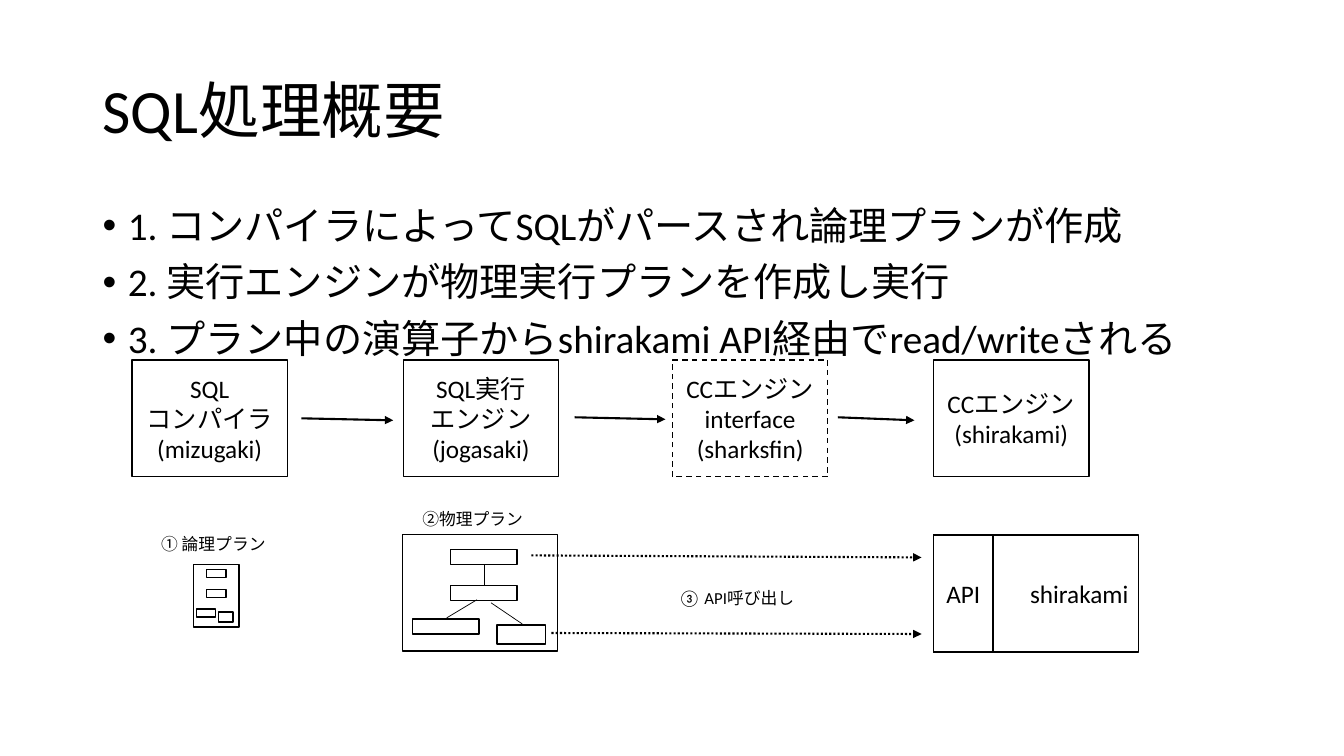
from lxml.etree import SubElement
from pptx import Presentation
from pptx.dml.color import RGBColor
from pptx.enum.dml import MSO_LINE
from pptx.enum.shapes import MSO_CONNECTOR, MSO_SHAPE
from pptx.enum.text import MSO_ANCHOR, PP_ALIGN
from pptx.oxml.ns import qn
from pptx.util import Inches, Pt

# Content
BLACK, WHITE, FONT = "000000", "FFFFFF", "Calibri"
TITLE = "SQL処理概要"
STEPS = [
    "1. コンパイラによってSQLがパースされ論理プランが作成",
    "2. 実行エンジンが物理実行プランを作成し実行",
    "3. プラン中の演算子からshirakami API経由でread/writeされる",
]
BOX_W, BOX_H, ENGINE_Y, PLAN_Y = 1.54, 1.16, 3.57, 5.31
ENGINES = [  # left, label, dash
    (1.31, "SQL\nコンパイラ\n(mizugaki)", None),
    (4, "SQL実行\nエンジン\n(jogasaki)", None),
    (6.67, "CCエンジン\ninterface\n(sharksfin)", MSO_LINE.DASH),
    (9.26, "CCエンジン\n(shirakami)", None),
]
ENGINE_ARROWS = [(2.99, 4.15, 3.9, 4.17), (5.7, 4.14, 6.6, 4.16),
                 (8.31, 4.14, 9.07, 4.17)]
LOGICAL_PLAN = [  # frame, then operators
    (1.92, 5.6, 0.45, 0.62),
    (2.05, 5.65, 0.19, 0.08), (2.05, 5.85, 0.19, 0.08),
    (1.95, 6.04, 0.19, 0.08), (2.17, 6.07, 0.14, 0.1),
]
PHYSICAL_PLAN = [
    (3.99, 5.3, BOX_W, BOX_H),
    (4.47, 5.45, 0.66, 0.15), (4.47, 5.81, 0.66, 0.15),
    (4.09, 6.14, 0.66, 0.15), (4.93, 6.2, 0.48, 0.19),
]
PLAN_EDGES = [(4.8, 5.6, 4.8, 5.81), (4.73, 5.95, 4.43, 6.13),
              (4.87, 5.98, 5.18, 6.19)]
API_CALLS = [(5.27, 5.51, 9.14, 5.53), (5.47, 6.28, 9.14, 6.29)]
STORE = [  # width, label, alignment
    (2.03, "shirakami", PP_ALIGN.RIGHT),
    (0.59, "API", PP_ALIGN.CENTER),
]
CAPTIONS = [  # left, top, width, text
    (1.5, 5.25, 1.35, "① 論理プラン"),
    (6.63, 5.78, 3, "③ API呼び出し"),
    (4.09, 5, 1.35, "②物理プラン"),
]

prs = Presentation()
prs.slide_width, prs.slide_height = Inches(13.33), Inches(7.5)
s = prs.slides.add_slide(prs.slide_layouts[6])


def color(value):
    return RGBColor.from_string(value)


def write(p, text, size):
    for i, line in enumerate(text.split("\n")):
        if i:
            p.add_line_break()
        r = p.add_run()
        r.text = line
        r.font.size, r.font.name = Pt(size), FONT
        r.font.color.rgb = color(BLACK)


def text_box(x, y, w, h, anchor=MSO_ANCHOR.TOP):
    tf = s.shapes.add_textbox(*map(Inches, (x, y, w, h))).text_frame
    tf.word_wrap, tf.vertical_anchor = True, anchor
    return tf


def box(x, y, w, h, text="", align=PP_ALIGN.CENTER, dash=None):
    sp = s.shapes.add_shape(MSO_SHAPE.RECTANGLE, *map(Inches, (x, y, w, h)))
    sp.shadow.inherit = False
    sp.fill.solid()
    sp.fill.fore_color.rgb = color(WHITE)
    sp.line.color.rgb, sp.line.width = color(BLACK), Pt(1)
    if dash:
        sp.line.dash_style = dash
    if text:
        tf = sp.text_frame
        tf.word_wrap, tf.vertical_anchor = True, MSO_ANCHOR.MIDDLE
        tf.paragraphs[0].alignment = align
        write(tf.paragraphs[0], text, 18)


def line(ends, width, dash=None, arrow=False):
    c = s.shapes.add_connector(MSO_CONNECTOR.STRAIGHT, *map(Inches, ends))
    c.line.color.rgb, c.line.width = color(BLACK), Pt(width)
    if dash:
        c.line.dash_style = dash
    if arrow:
        SubElement(c.line._get_or_add_ln(), qn("a:tailEnd"), type="triangle")
    SubElement(c._element.spPr, qn("a:effectLst"))


# Title
p = text_box(0.92, 0.4, 11.5, 1.45, MSO_ANCHOR.MIDDLE).paragraphs[0]
p.line_spacing = 0.9
write(p, TITLE, 44)

# Bulleted steps
tf = text_box(0.92, 2, 11.5, 4.76)
for i, step in enumerate(STEPS):
    p = tf.add_paragraph() if i else tf.paragraphs[0]
    pPr = p._p.get_or_add_pPr()
    pPr.set("marL", str(Inches(0.25)))
    pPr.set("indent", str(-Inches(0.25)))
    SubElement(pPr, qn("a:buFont"), typeface="Arial")
    SubElement(pPr, qn("a:buChar"), char="•")
    p.line_spacing, p.space_before = 0.9, Pt(10 if i else 0)
    write(p, step, 28)

# Engine row
for x, label, dash in ENGINES:
    box(x, ENGINE_Y, BOX_W, BOX_H, label, dash=dash)
for ends in ENGINE_ARROWS:
    line(ends, 1.5, arrow=True)

# Plans and storage API
for rect in LOGICAL_PLAN + PHYSICAL_PLAN:
    box(*rect)
for ends in PLAN_EDGES:
    line(ends, 0.5)
for w, label, align in STORE:
    box(ENGINES[-1][0], PLAN_Y, w, BOX_H, label, align)
for ends in API_CALLS:
    line(ends, 1.5, MSO_LINE.ROUND_DOT, arrow=True)

# Captions
for x, y, w, text in CAPTIONS:
    write(text_box(x, y, w, 0.3).paragraphs[0], text, 12)

prs.save("out.pptx")
